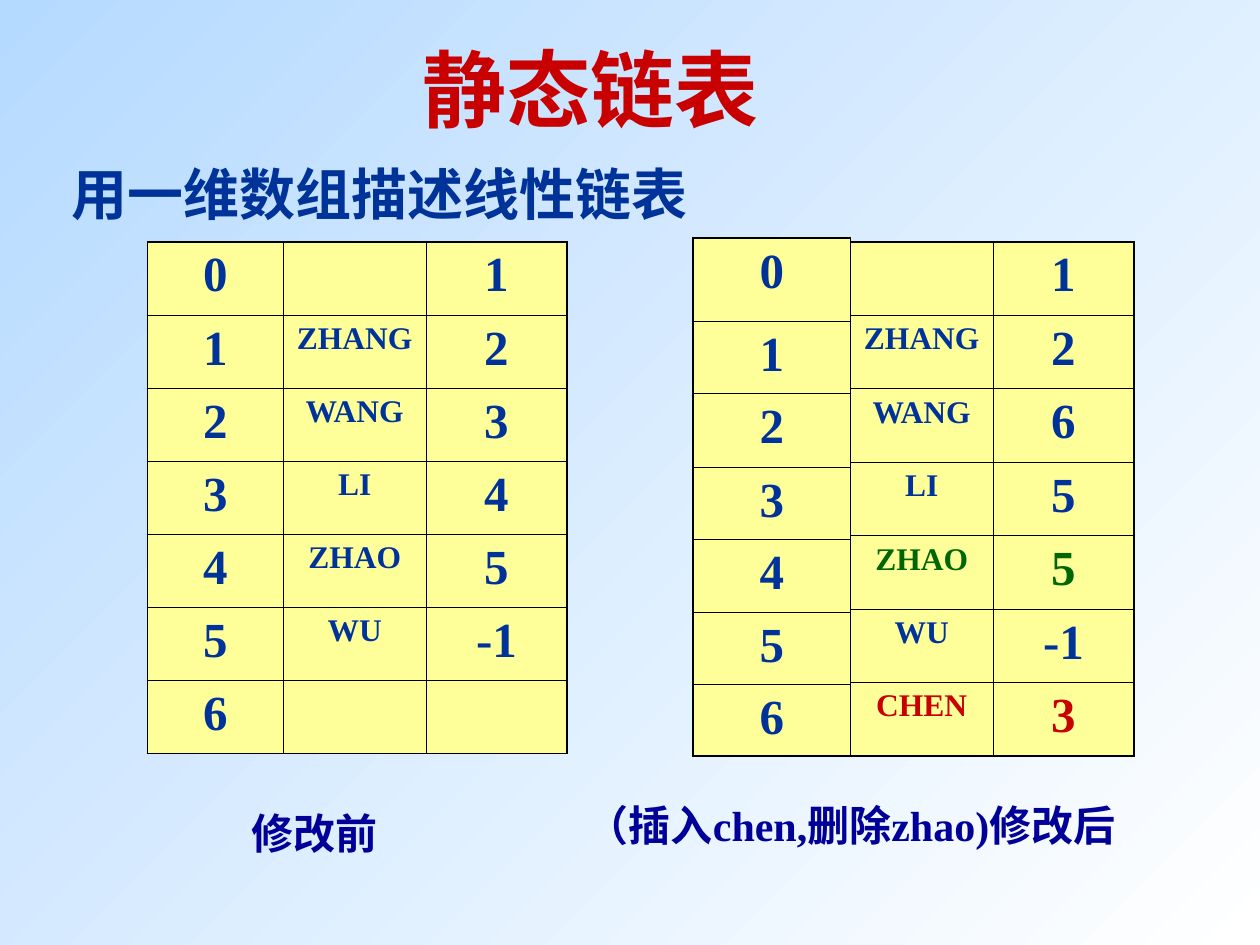
from lxml import etree
from pptx import Presentation
from pptx.dml.color import RGBColor
from pptx.enum import text
from pptx.oxml.ns import qn
from pptx.util import Inches, Pt

FONT = "Times New Roman"
COLORS = {
    "sky": "B5DAFF", "white": "FFFFFF", "cell": "FFFF99", "border": "000000",
    "blue": "003399", "navy": "000099", "red": "C80000", "green": "006600",
}
THICK, THIN = 1.08, 0.45

INDEXES = [[str(i)] for i in range(7)]
BEFORE = [("", "1"), ("ZHANG", "2"), ("WANG", "3"), ("LI", "4"),
          ("ZHAO", "5"), ("WU", "-1"), ("", "")]
AFTER = [("", "1"), ("ZHANG", "2"), ("WANG", "6"), ("LI", "5"),
         ("ZHAO", "5"), ("WU", "-1"), ("CHEN", "3")]
DELETED_INSERTED = {4: "green", 6: "red"}

# rows, left, top, column widths, row heights, row colours
TABLES = [
    (AFTER, 6.75, 1.92, [1.13, 1.12], [4.08 / 7] * 7, DELETED_INSERTED),
    (BEFORE, 2.25, 1.92, [1.13, 1.12], [0.58] * 7, {}),
    (INDEXES, 1.17, 1.92, [1.08], [0.58] * 7, {}),
    (INDEXES, 5.5, 1.89, [1.25], [0.66, 0.57, 0.59, 0.57, 0.58, 0.57, 0.57], {}),
]

# text, left, top, width, height, size, colour
LABELS = [
    ("修改前", 1.9, 6.36, 1.2, 0.5, 24, "navy"),
    ("（插入chen,删除zhao)修改后", 4.4, 6.3, 4.71, 0.5, 24, "navy"),
    ("用一维数组描述线性链表", 0.47, 1.22, 5.09, 0.64, 32, "blue"),
    ("静态链表", 3.26, 0.25, 2.86, 0.9, 48, "red"),
]


def rgb(name):
    return RGBColor.from_string(COLORS[name])


def write(p, words, size, color):
    p.text = words
    p.alignment = text.PP_ALIGN.CENTER
    p.font.name, p.font.size, p.font.bold = FONT, Pt(size), True
    p.font.color.rgb = rgb(color)


def set_borders(cell, outer):
    """Draw the four sides, thick where the side lies on the table's edge."""
    tc_pr = cell._tc.get_or_add_tcPr()
    for i, (side, is_outer) in enumerate(outer.items()):
        width = Pt(THICK if is_outer else THIN)
        ln = etree.Element(qn("a:" + side), w=str(width))
        fill = etree.SubElement(ln, qn("a:solidFill"))
        etree.SubElement(fill, qn("a:srgbClr"), val=COLORS["border"])
        tc_pr.insert(i, ln)


def add_grid(s, rows, left, top, widths, heights, row_colors):
    table = s.shapes.add_table(
        len(rows), len(widths), Inches(left), Inches(top),
        Inches(sum(widths)), Inches(sum(heights))).table
    table.first_row = table.horz_banding = False
    for column, width in zip(table.columns, widths):
        column.width = Inches(width)
    last_row, last_col = len(rows) - 1, len(widths) - 1
    for r, row in enumerate(rows):
        table.rows[r].height = Inches(heights[r])
        for c, words in enumerate(row):
            cell = table.cell(r, c)
            cell.fill.solid()
            cell.fill.fore_color.rgb = rgb("cell")
            set_borders(cell, {"lnL": c == 0, "lnR": c == last_col,
                               "lnT": r == 0, "lnB": r == last_row})
            if words:
                write(cell.text_frame.paragraphs[0], words,
                      18 if words.isalpha() else 28, row_colors.get(r, "blue"))


def add_label(s, words, left, top, width, height, size, color):
    tf = s.shapes.add_textbox(Inches(left), Inches(top),
                              Inches(width), Inches(height)).text_frame
    tf.word_wrap = False
    tf.auto_size = text.MSO_AUTO_SIZE.NONE
    tf.margin_left = tf.margin_right = 0  # room for the whole line
    write(tf.paragraphs[0], words, size, color)


def main():
    prs = Presentation()
    prs.slide_width, prs.slide_height = Inches(10), Inches(7.5)
    s = prs.slides.add_slide(prs.slide_layouts[6])
    bg = s.background.fill
    bg.gradient()
    bg.gradient_angle = 315
    for stop, position, color in zip(bg.gradient_stops, (0, 1), ("sky", "white")):
        stop.position = position
        stop.color.rgb = rgb(color)
    for table in TABLES:
        add_grid(s, *table)
    for label in LABELS:
        add_label(s, *label)
    prs.save("out.pptx")


if __name__ == "__main__":
    main()
